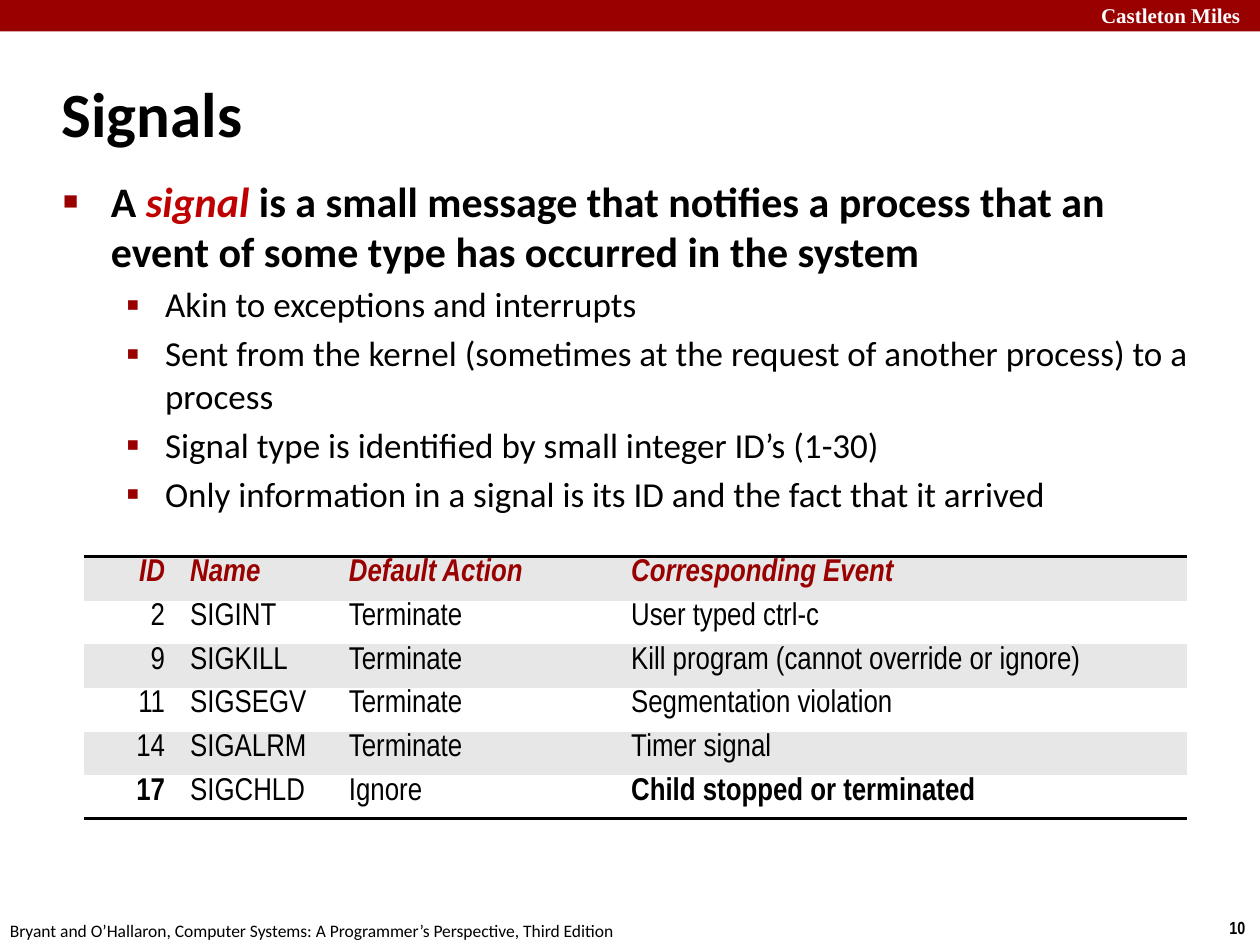
"""Build the slide on signals, with a bullet list and a table of signal IDs."""
import lxml.etree
import pptx
import pptx.dml.color
import pptx.enum.shapes
import pptx.enum.text
import pptx.oxml.ns
import pptx.util

Inches = pptx.util.Inches
Pt = pptx.util.Pt
RGBColor = pptx.dml.color.RGBColor
ALIGN = pptx.enum.text.PP_ALIGN
ANCHOR = pptx.enum.text.MSO_ANCHOR

DARK_RED = RGBColor(0x99, 0x00, 0x00)
EMPHASIS_RED = RGBColor(0xC0, 0x00, 0x00)
BLACK = RGBColor(0x00, 0x00, 0x00)
WHITE = RGBColor(0xFF, 0xFF, 0xFF)
BAND_GRAY = RGBColor(0xE7, 0xE7, 0xE7)

NO_GRID_STYLE = "{2D5ABB26-0587-4C30-8999-92F81FD0307C}"
DETAILS = [
    "Akin to exceptions and interrupts",
    "Sent from the kernel (sometimes at the request of another process) to a process",
    "Signal type is identified by small integer ID’s (1-30)",
    "Only information in a signal is its ID and the fact that it arrived",
]
COLUMN_WIDTHS = [0.74, 1.26, 2.24, 4.51]
SIGNALS = [
    ["ID", "Name", "Default Action", "Corresponding Event"],
    ["2", "SIGINT", "Terminate", "User typed ctrl-c"],
    ["9", "SIGKILL", "Terminate", "Kill program (cannot override or ignore)"],
    ["11", "SIGSEGV", "Terminate", "Segmentation violation"],
    ["14", "SIGALRM", "Terminate", "Timer signal"],
    ["17", "SIGCHLD", "Ignore", "Child stopped or terminated"],
]
BOLD_TEXTS = {"17", "Child stopped or terminated"}


def place(shape, left, top, width, height):
    shape.left, shape.top = Inches(left), Inches(top)
    shape.width, shape.height = Inches(width), Inches(height)


def set_font(font, name, size, color=BLACK, bold=False, italic=False):
    font.name, font.size = name, Pt(size)
    font.color.rgb = color
    font.bold, font.italic = bold, italic


def add_child(parent, tag, **attributes):
    child = lxml.etree.SubElement(parent, pptx.oxml.ns.qn(tag))
    for key, value in attributes.items():
        child.set(key, str(value))
    return child


def add_label(page, text, area, font_name, size, color=BLACK, bold=False):
    box = page.shapes.add_textbox(*map(Inches, area))
    box.text_frame.word_wrap = False
    para = box.text_frame.paragraphs[0]
    para.text = text
    set_font(para.font, font_name, size, color, bold)


def add_header_bar(page):
    bar = page.shapes.add_shape(
        pptx.enum.shapes.MSO_SHAPE.RECTANGLE, 0, 0, Inches(10), Inches(0.25))
    bar.shadow.inherit = False
    bar.fill.solid()
    bar.fill.fore_color.rgb = DARK_RED
    bar.line.fill.background()


def set_title(page, text):
    title = page.shapes.title
    place(title, 0.39, 0.48, 8.3, 0.83)
    title.text_frame.vertical_anchor = ANCHOR.MIDDLE
    para = title.text_frame.paragraphs[0]
    para.text = text
    para.alignment = ALIGN.LEFT
    set_font(para.font, "Calibri", 36, bold=True)


def set_bullet(para, character, percent, left, hanging):
    properties = para._p.get_or_add_pPr()
    properties.set("marL", str(Inches(left)))
    properties.set("indent", str(-Inches(hanging)))
    color = add_child(properties, "a:buClr")
    add_child(color, "a:srgbClr", val=DARK_RED)
    add_child(properties, "a:buSzPct", val=percent * 1000)
    add_child(properties, "a:buFont", typeface="Arial")
    add_child(properties, "a:buChar", char=character)


def fill_body(page):
    body = page.placeholders[1]
    place(body, 0.4, 1.34, 9.18, 3)
    frame = body.text_frame
    frame.auto_size = pptx.enum.text.MSO_AUTO_SIZE.NONE
    lead = frame.paragraphs[0]
    lead.space_before = Pt(4.8)
    set_bullet(lead, "■", 60, 0.38, 0.38)
    set_font(lead.font, "Calibri", 24, bold=True)
    lead.add_run().text = "A "
    term = lead.add_run()
    term.text = "signal"
    term.font.italic = True
    term.font.color.rgb = EMPHASIS_RED
    lead.add_run().text = (" is a small message that notifies a process that an "
                           "event of some type has occurred in the system")
    for text in DETAILS:
        para = frame.add_paragraph()
        para.text = text
        para.level = 1
        para.space_before = Pt(4)
        set_bullet(para, "▪", 110, 0.81, 0.31)
        set_font(para.font, "Calibri", 20)


def add_border(cell, tag):
    line = add_child(cell._tc.get_or_add_tcPr(), tag, w=Pt(2))
    fill = add_child(line, "a:solidFill")
    add_child(fill, "a:srgbClr", val=BLACK)


def fill_cell(cell, text, row, column):
    header = row == 0
    cell.margin_top = cell.margin_bottom = Inches(0.02)
    if header:
        add_border(cell, "a:lnT")
    if row == len(SIGNALS) - 1:
        add_border(cell, "a:lnB")
    cell.fill.solid()
    cell.fill.fore_color.rgb = WHITE if row % 2 else BAND_GRAY
    para = cell.text_frame.paragraphs[0]
    para.text = text
    para.line_spacing = 0.95
    para.alignment = ALIGN.LEFT if column else ALIGN.RIGHT
    set_font(para.font, "Arial Narrow", 18, DARK_RED if header else BLACK,
             header or text in BOLD_TEXTS, header)


def add_signal_table(page):
    table = page.shapes.add_table(
        len(SIGNALS), len(COLUMN_WIDTHS), Inches(0.67), Inches(4.42),
        Inches(sum(COLUMN_WIDTHS)), Inches(2.08)).table
    table.first_row = table.horz_banding = False
    table._tbl.tblPr.find(pptx.oxml.ns.qn("a:tableStyleId")).text = NO_GRID_STYLE
    for column, width in zip(table.columns, COLUMN_WIDTHS):
        column.width = Inches(width)
    for row, texts in enumerate(SIGNALS):
        for column, text in enumerate(texts):
            fill_cell(table.cell(row, column), text, row, column)


def main():
    deck = pptx.Presentation()
    deck.slide_width, deck.slide_height = Inches(10), Inches(7.5)
    page = deck.slides.add_slide(deck.slide_layouts[1])
    add_header_bar(page)
    add_label(page, "Castleton Miles", (8.64, -0.03, 1.43, 0.3),
              "Times New Roman", 12, WHITE, True)
    add_label(page, "10", (9.66, 7.23, 0.34, 0.27), "Arial Narrow", 10, bold=True)
    add_label(page, "Bryant and O’Hallaron, Computer Systems: A Programmer’s "
              "Perspective, Third Edition", (-0.02, 7.25, 5.08, 0.27), "Calibri", 10)
    set_title(page, "Signals")
    fill_body(page)
    add_signal_table(page)
    deck.save("out.pptx")


main()
